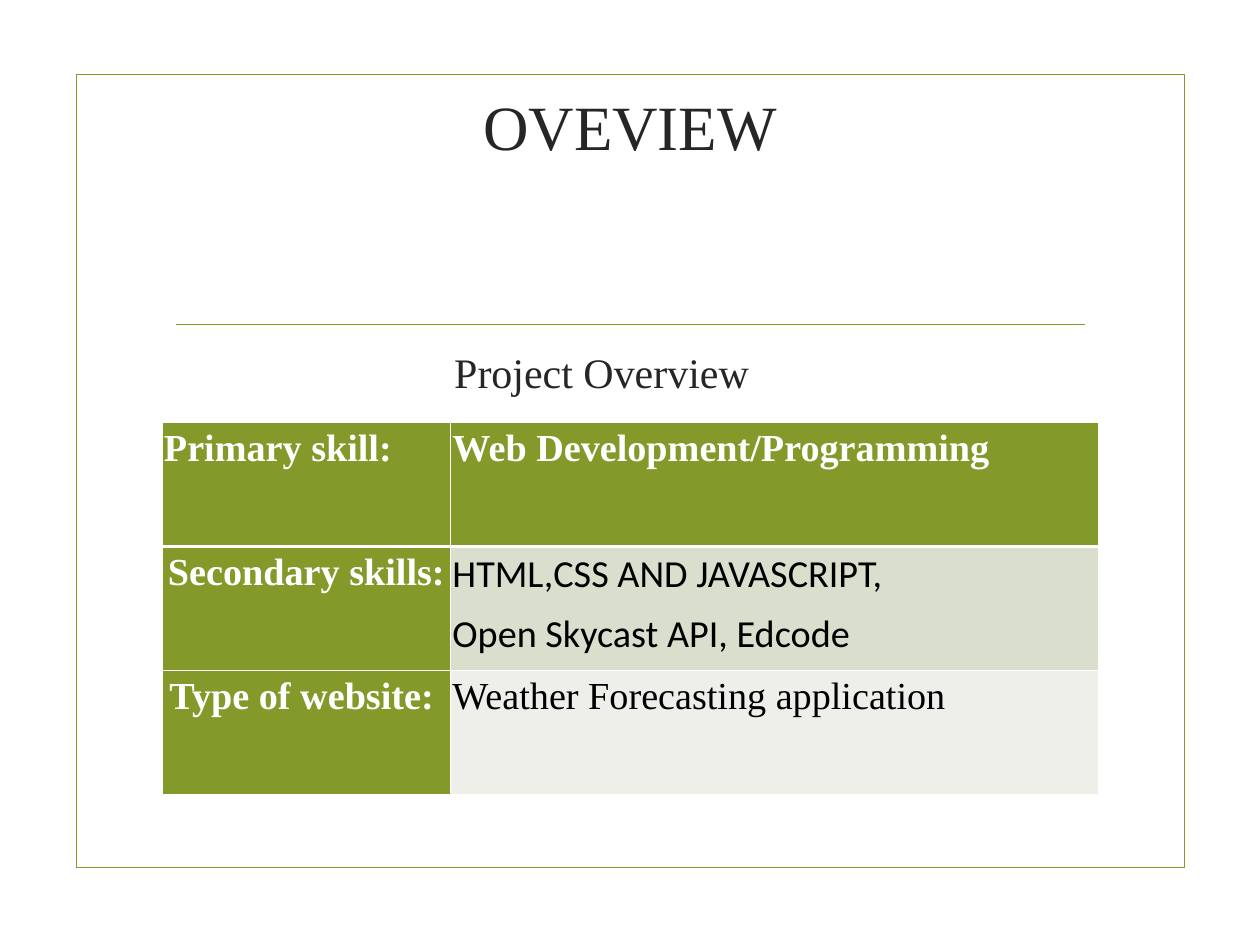
from dataclasses import dataclass

from lxml import etree
from pptx import Presentation
from pptx import util as u
from pptx.dml.color import RGBColor
from pptx.enum import shapes, text
from pptx.oxml import ns


@dataclass(frozen=True)
class Theme:
    olive: str = "83992A"
    sage: str = "D9DECD"
    pale: str = "EDEFE8"
    white: str = "FFFFFF"
    black: str = "000000"
    ink: str = "262626"
    serif: str = "Times New Roman"
    sans: str = "Calibri"
    title: float = 52.8
    head: float = 35.2
    body: float = 32
    rule: float = 1.25
    thin: float = 1
    thick: float = 3


LEFT, MID = text.PP_ALIGN.LEFT, text.PP_ALIGN.CENTER
FULL = text.PP_ALIGN.JUSTIFY


class Page:
    """Draws on one slide; lengths are percent of its width and height."""

    def __init__(self, deck, theme):
        self.deck, self.theme = deck, theme
        self.slide = deck.slides.add_slide(deck.slide_layouts[6])

    def wide(self, share):
        return u.Emu(round(self.deck.slide_width * share / 100))

    def high(self, share):
        return u.Emu(round(self.deck.slide_height * share / 100))

    def box(self, x, y, w, h):
        return self.wide(x), self.high(y), self.wide(w), self.high(h)

    def stroke(self, line):
        line.color.rgb = RGBColor.from_string(self.theme.olive)
        line.width = u.Pt(self.theme.rule)

    def frame(self, *area):
        shape = self.slide.shapes.add_shape(
            shapes.MSO_SHAPE.RECTANGLE, *self.box(*area))
        shape.shadow.inherit = False
        shape.fill.background()
        self.stroke(shape.line)

    def rule(self, left, right, y):
        line = self.slide.shapes.add_connector(
            shapes.MSO_CONNECTOR.STRAIGHT, self.wide(left), self.high(y),
            self.wide(right), self.high(y))
        self.stroke(line.line)
        etree.SubElement(line.element.spPr, ns.qn("a:effectLst"))

    def put(self, para, words, size, color, font, bold=False, align=LEFT):
        para.alignment = align
        run = para.add_run()
        run.text = words
        run.font.size, run.font.name = u.Pt(size), font
        run.font.bold = bold
        run.font.color.rgb = RGBColor.from_string(color)

    def label(self, area, words, size, align=LEFT, anchor="TOP", indent=0,
              before=0):
        body = self.slide.shapes.add_textbox(*self.box(*area)).text_frame
        body.word_wrap = True
        body.vertical_anchor = text.MSO_ANCHOR[anchor]
        para = body.paragraphs[0]
        para.space_before = u.Pt(before)
        if indent:
            para._p.get_or_add_pPr().set("marL", str(self.wide(indent)))
        self.put(para, words, size, self.theme.ink, self.theme.serif,
                 align=align)

    def edges(self, cell, top, low):
        """Set white borders, with their own widths above and below."""
        props = cell._tc.get_or_add_tcPr()
        thin = self.theme.thin
        widths = {"lnL": thin, "lnR": thin, "lnT": top, "lnB": low}
        for spot, (tag, width) in enumerate(widths.items()):
            line = etree.Element(ns.qn(f"a:{tag}"), w=str(u.Pt(width)))
            fill = etree.SubElement(line, ns.qn("a:solidFill"))
            etree.SubElement(fill, ns.qn("a:srgbClr"), val=self.theme.white)
            props.insert(spot, line)

    def table(self, x, y, cols, row, cells):
        """Each cell is (lines, fill, color, font, bold, align)."""
        area = self.box(x, y, sum(cols), row * len(cells))
        grid = self.slide.shapes.add_table(
            len(cells), len(cols), *area).table
        for col, share in zip(grid.columns, cols):
            col.width = self.wide(share)
        thin, thick = self.theme.thin, self.theme.thick
        for r, line in enumerate(cells):
            grid.rows[r].height = self.high(row)
            for c, (lines, fill, color, font, bold, align) in enumerate(line):
                cell = grid.cell(r, c)
                cell.margin_left = cell.margin_right = u.Inches(0.02)
                cell.margin_top = cell.margin_bottom = u.Inches(0.02)
                cell.fill.solid()
                cell.fill.fore_color.rgb = RGBColor.from_string(fill)
                self.edges(cell, thick if r == 1 else thin,
                           thick if r == 0 else thin)
                body = cell.text_frame
                for n, words in enumerate(lines):
                    para = body.add_paragraph() if n else body.paragraphs[0]
                    para.line_spacing, para.space_after = 1.07, u.Pt(8)
                    self.put(para, words, self.theme.body, color, font,
                             bold, align)


def main():
    deck = Presentation()
    deck.slide_width, deck.slide_height = u.Inches(14.67), u.Inches(11)
    t = Theme()
    page = Page(deck, t)
    page.frame(6.07, 7.91, 87.93, 83.91)
    page.rule(13.97, 86.09, 34.36)
    page.label((12.85, 9.09, 74.3, 8.36), "OVEVIEW", t.title, MID, "MIDDLE")
    page.label((12.88, 36.27, 74.3, 50.27), "Project Overview", t.head,
               indent=22.5, before=5)

    def key(words, align=MID):
        return [words], t.olive, t.white, t.serif, True, align

    def value(lines, fill, font):
        return lines, fill, t.black, font, False, LEFT

    page.table(12.88, 44.73, (22.9, 51.4), 13.1, [
        [key("Primary skill:", LEFT),
         key("Web Development/Programming", FULL)],
        [key("Secondary skills: "),
         value(["HTML,CSS AND JAVASCRIPT,", "Open Skycast API, Edcode"],
               t.sage, t.sans)],
        [key("Type of website: "),
         value(["Weather Forecasting application"], t.pale, t.serif)],
    ])
    deck.save("out.pptx")


if __name__ == "__main__":
    main()
